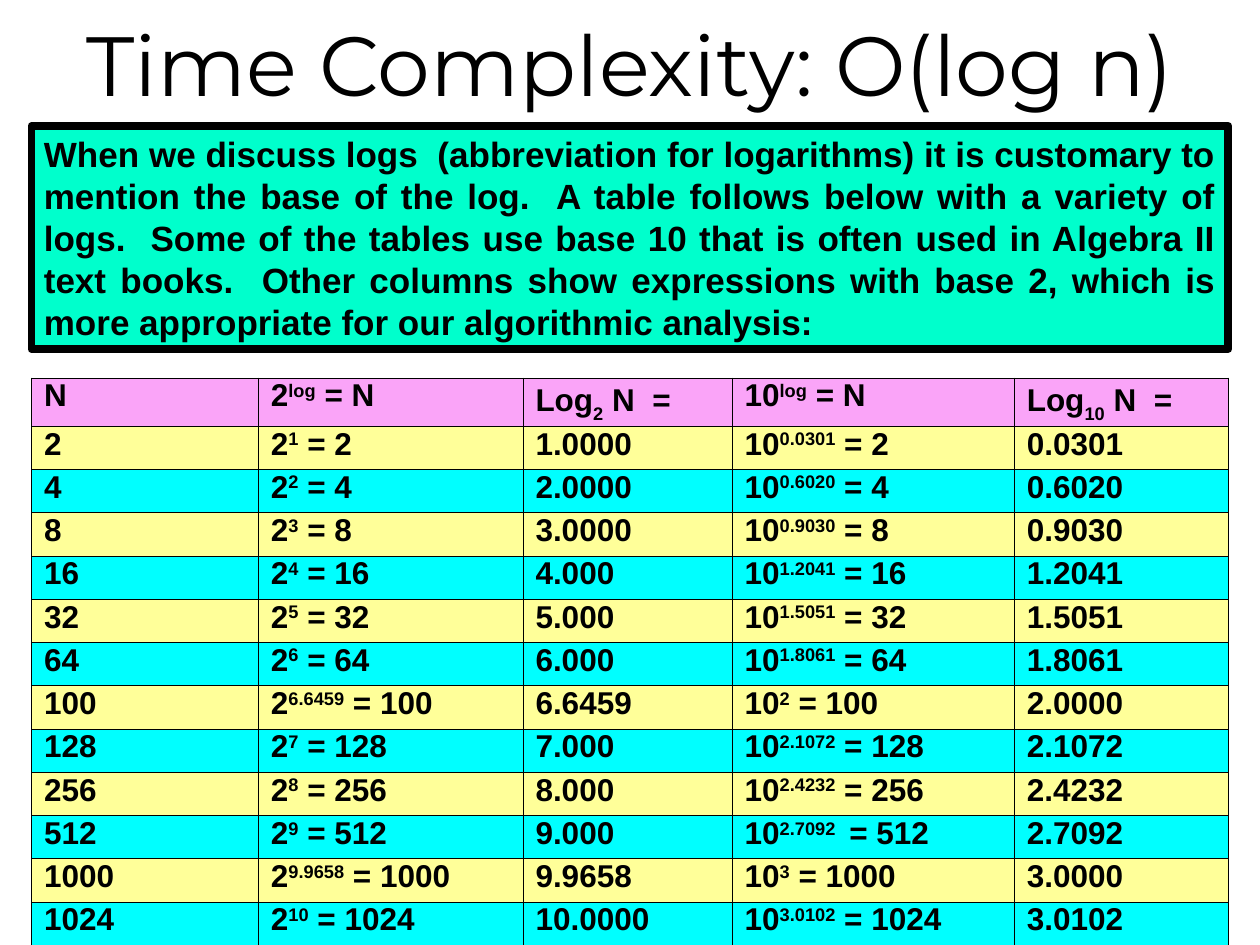
"""Build a slide on logarithmic time complexity with a table of logarithms."""
from dataclasses import dataclass

from lxml import etree
from pptx import Presentation
from pptx.dml.color import RGBColor
from pptx.enum.shapes import MSO_SHAPE
from pptx.enum.text import MSO_ANCHOR, PP_ALIGN
from pptx.oxml.ns import qn
from pptx.util import Inches, Pt

RECTANGLE = MSO_SHAPE.RECTANGLE
MIDDLE = MSO_ANCHOR.MIDDLE
CENTER, JUSTIFY = PP_ALIGN.CENTER, PP_ALIGN.JUSTIFY

WIDTH, HEIGHT = Inches(10), Inches(7.5)
MARGIN = 0.025
TITLE_BOTTOM = 1 / 7.5
INTRO_HEIGHT = 1.77 / 7.5
TABLE_TOP = 0.4
HEADER_HEIGHT = 0.38 / 7.5
COLUMN_SHARES = (0.18, 0.21, 0.166, 0.224, 0.17)
COLORS = {
    "ink": "000000",
    "intro": "00FFCC",
    "header": "FAA4F8",
    "odd": "FFFF99",
    "even": "00FFFF",
}
INTRO = (
    "When we discuss logs  (abbreviation for logarithms) it is customary to "
    "mention the base of the log.  A table follows below with a variety of logs.  "
    "Some of the tables use base 10 that is often used in Algebra II text books.  "
    "Other columns show expressions with base 2, which is more appropriate for "
    "our algorithmic analysis:"
)


@dataclass(frozen=True)
class Span:
    text: str
    baseline: int = 0


@dataclass(frozen=True)
class LogRow:
    number: str
    binary_power: str
    binary_log: str
    decimal_power: str
    decimal_log: str


LOG_ROWS = (
    LogRow("2", "1", "1.0000", "0.0301", "0.0301"),
    LogRow("4", "2", "2.0000", "0.6020", "0.6020"),
    LogRow("8", "3", "3.0000", "0.9030", "0.9030"),
    LogRow("16", "4", "4.000", "1.2041", "1.2041"),
    LogRow("32", "5", "5.000", "1.5051", "1.5051"),
    LogRow("64", "6", "6.000", "1.8061", "1.8061"),
    LogRow("100", "6.6459", "6.6459", "2", "2.0000"),
    LogRow("128", "7", "7.000", "2.1072", "2.1072"),
    LogRow("256", "8", "8.000", "2.4232", "2.4232"),
    LogRow("512", "9", "9.000", "2.7092 ", "2.7092"),
    LogRow("1000", "9.9658", "9.9658", "3", "3.0000"),
    LogRow("1024", "10", "10.0000", "3.0102", "3.0102"),
)


def color(name: str) -> RGBColor:
    return RGBColor.from_string(COLORS[name])


def across(share: float) -> int:
    return round(WIDTH * share)


def down(share: float) -> int:
    return round(HEIGHT * share)


def style_font(font, name: str, size: float, bold: bool) -> None:
    font.name, font.size, font.bold = name, Pt(size), bold
    font.color.rgb = color("ink")


def power(base: str, exponent: str, result: str) -> list[Span]:
    return [Span(base), Span(exponent, 30), Span(f" = {result}")]


def log_heading(base: str) -> list[Span]:
    return [Span("Log"), Span(base, -30), Span(" N  =")]


def row_cells(row: LogRow) -> list[list[Span]]:
    return [
        [Span(row.number)],
        power("2", row.binary_power, row.number),
        [Span(row.binary_log)],
        power("10", row.decimal_power, row.number),
        [Span(row.decimal_log)],
    ]


def add_title(page) -> None:
    box = page.shapes.add_textbox(0, 0, WIDTH, down(TITLE_BOTTOM))
    frame = box.text_frame
    frame.word_wrap = True
    frame.vertical_anchor = MIDDLE
    frame.text = "Time Complexity: O(log n)"
    frame.paragraphs[0].alignment = CENTER
    style_font(frame.paragraphs[0].runs[0].font, "Montserrat", 48, False)


def add_intro(page) -> None:
    box = page.shapes.add_shape(
        RECTANGLE, across(MARGIN), down(TITLE_BOTTOM),
        across(1 - 2 * MARGIN), down(INTRO_HEIGHT),
    )
    box.shadow.inherit = False
    box.fill.solid()
    box.fill.fore_color.rgb = color("intro")
    box.line.color.rgb = color("ink")
    box.line.width = Pt(4.5)
    frame = box.text_frame
    frame.word_wrap = True
    frame.text = INTRO
    frame.paragraphs[0].alignment = JUSTIFY
    style_font(frame.paragraphs[0].runs[0].font, "Arial", 20, True)


def add_borders(cell) -> None:
    properties = cell._tc.get_or_add_tcPr()
    for index, side in enumerate(("a:lnL", "a:lnR", "a:lnT", "a:lnB")):
        line = etree.Element(qn(side), w=str(Pt(0.45)))
        fill = etree.SubElement(line, qn("a:solidFill"))
        etree.SubElement(fill, qn("a:srgbClr"), val=COLORS["ink"])
        properties.insert(index, line)


def fill_cell(cell, spans: list[Span], fill_name: str) -> None:
    cell.fill.solid()
    cell.fill.fore_color.rgb = color(fill_name)
    add_borders(cell)
    para = cell.text_frame.paragraphs[0]
    para.alignment = JUSTIFY
    para.line_spacing = 0.8
    for span in spans:
        run = para.add_run()
        run.text = span.text
        style_font(run.font, "Arial", 18, True)
        if span.baseline:
            run.font._element.set("baseline", str(span.baseline * 1000))


def add_log_table(page) -> None:
    headings = [
        [Span("N")], power("2", "log", "N"), log_heading("2"),
        power("10", "log", "N"), log_heading("10"),
    ]
    rows = [headings] + [row_cells(row) for row in LOG_ROWS]
    table = page.shapes.add_table(
        len(rows), len(headings), across(MARGIN), down(TABLE_TOP),
        across(1 - 2 * MARGIN), down(1 - TABLE_TOP),
    ).table
    table.first_row = table.horz_banding = False
    for column, share in zip(table.columns, COLUMN_SHARES):
        column.width = across(share)
    body_height = (1 - TABLE_TOP - HEADER_HEIGHT) / len(LOG_ROWS)
    for index, cells in enumerate(rows):
        table.rows[index].height = down(body_height if index else HEADER_HEIGHT)
        fill_name = ("odd" if index % 2 else "even") if index else "header"
        for column, spans in enumerate(cells):
            fill_cell(table.cell(index, column), spans, fill_name)


def main() -> None:
    deck = Presentation()
    deck.slide_width, deck.slide_height = WIDTH, HEIGHT
    page = deck.slides.add_slide(deck.slide_layouts[6])
    add_title(page)
    add_intro(page)
    add_log_table(page)
    deck.save("out.pptx")


if __name__ == "__main__":
    main()
